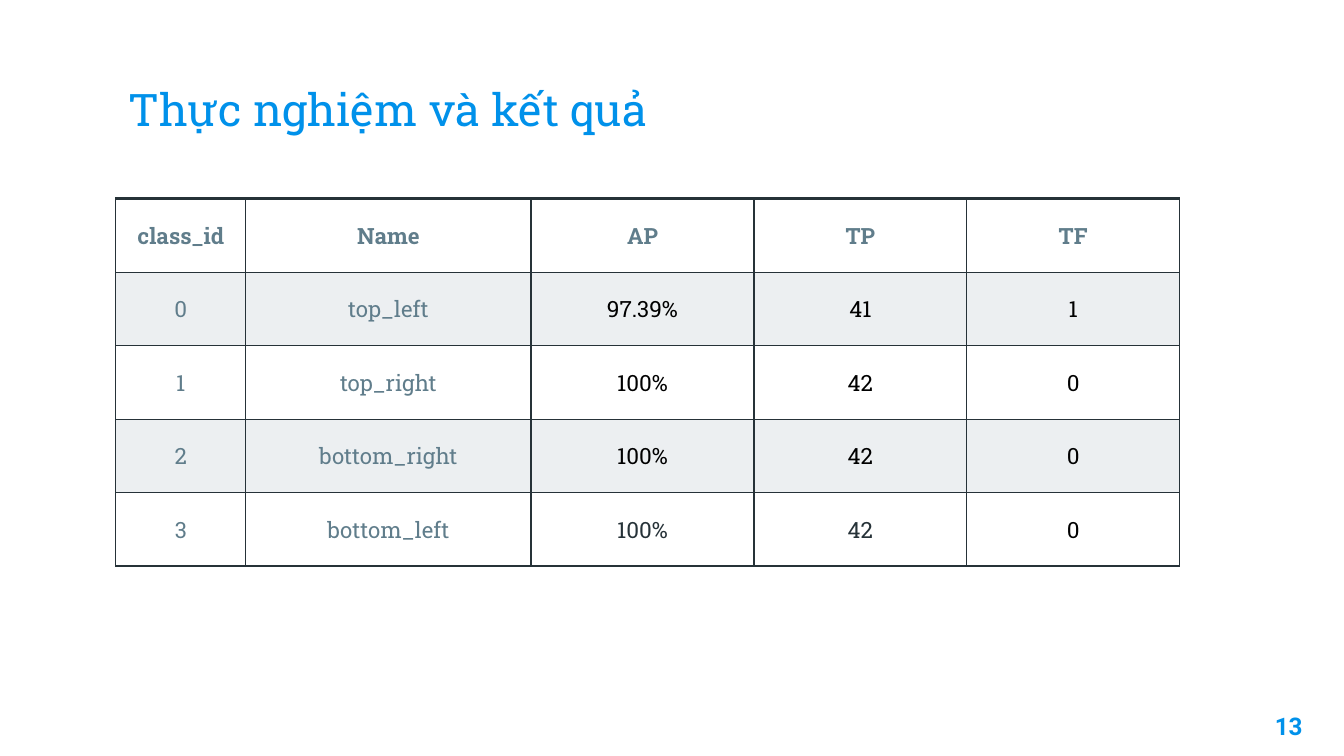
"""Build the experiment results slide with its detection table."""
from typing import NamedTuple

from pptx import Presentation
from pptx.dml.color import RGBColor
from pptx.enum.text import MSO_ANCHOR as Anchor, PP_ALIGN as Align
from pptx.oxml.ns import qn
from pptx.util import Pt
from lxml.etree import SubElement

BLUE, SLATE, DARK, BLACK = "0091EA", "607D8B", "263238", "000000"
WHITE, BAND = "FFFFFF", "ECEFF1"
SLAB, SANS = "Roboto Slab", "Roboto"
COL_WIDTHS = (69.75, 152.75, 119.5, 114, 114)
ROW_HEIGHT = 39.4
THIN, THICK = 0.75, 1.5


class Row(NamedTuple):
    values: tuple[str, ...]
    colors: tuple[str, ...]
    fill: str = WHITE
    bold: bool = False


BODY = (SLATE, SLATE, BLACK, BLACK, BLACK)
ROWS = (
    Row(("class_id", "Name", "AP", "TP", "TF"), (SLATE,) * 5, bold=True),
    Row(("0", "top_left", "97.39%", "41", "1"), BODY, BAND),
    Row(("1", "top_right", "100%", "42", "0"), BODY),
    Row(("2", "bottom_right", "100%", "42", "0"), BODY, BAND),
    Row(("3", "bottom_left", "100%", "42", "0"), (SLATE, SLATE, DARK, DARK, BLACK)),
)


def rgb(value: str) -> RGBColor:
    return RGBColor.from_string(value)


def write(tf, text: str, *, size: float, color: str, font: str = SLAB,
          bold: bool = False, align: Align = Align.LEFT) -> None:
    p = tf.paragraphs[0]
    p.alignment = align
    r = p.add_run()
    r.text = text
    r.font.name, r.font.size, r.font.bold = font, Pt(size), bold
    r.font.color.rgb = rgb(color)


def add_text(s, text: str, left: float, top: float, width: float, height: float,
             anchor: Anchor = Anchor.TOP, **style) -> None:
    tf = s.shapes.add_textbox(Pt(left), Pt(top), Pt(width), Pt(height)).text_frame
    tf.word_wrap = True
    tf.vertical_anchor = anchor
    tf.margin_left = tf.margin_right = tf.margin_top = tf.margin_bottom = Pt(7.2)
    write(tf, text, **style)


def set_borders(cell, top: float, bottom: float) -> None:
    tc_pr = cell._tc.get_or_add_tcPr()
    widths = {"L": THIN, "R": THIN, "T": top, "B": bottom}
    for i, (side, width) in enumerate(widths.items()):
        ln = SubElement(tc_pr, qn(f"a:ln{side}"), w=str(Pt(width)))
        SubElement(SubElement(ln, qn("a:solidFill")), qn("a:srgbClr"), val=DARK)
        tc_pr.insert(i, ln)


def add_results(s, left: float, top: float, rows: tuple[Row, ...]) -> None:
    frame = s.shapes.add_table(len(rows), len(COL_WIDTHS), Pt(left), Pt(top),
                               Pt(sum(COL_WIDTHS)), Pt(ROW_HEIGHT * len(rows)))
    table = frame.table
    for col, width in zip(table.columns, COL_WIDTHS):
        col.width = Pt(width)
    last = len(rows) - 1
    for i, row in enumerate(rows):
        table.rows[i].height = Pt(ROW_HEIGHT)
        for j, (text, color) in enumerate(zip(row.values, row.colors)):
            cell = table.cell(i, j)
            cell.vertical_anchor = Anchor.MIDDLE
            cell.margin_left = cell.margin_right = Pt(7.2)
            cell.margin_top = cell.margin_bottom = Pt(5)
            cell.fill.solid()
            cell.fill.fore_color.rgb = rgb(row.fill)
            write(cell.text_frame, text, size=12, color=color, bold=row.bold,
                  align=Align.CENTER)
            set_borders(cell, THICK if i == 0 else THIN, THICK if i == last else THIN)


def main() -> None:
    prs = Presentation()
    prs.slide_width, prs.slide_height = Pt(720), Pt(405)
    s = prs.slides.add_slide(prs.slide_layouts[6])
    add_text(s, "Thực nghiệm và kết quả", 62, 24.5, 596, 55.5, Anchor.BOTTOM,
             size=24, color=BLUE)
    add_text(s, "13", 661.7, 374, 43.2, 31, size=13, color=BLUE, font=SANS,
             bold=True, align=Align.RIGHT)
    add_results(s, 62, 106.4, ROWS)
    prs.save("out.pptx")


if __name__ == "__main__":
    main()
